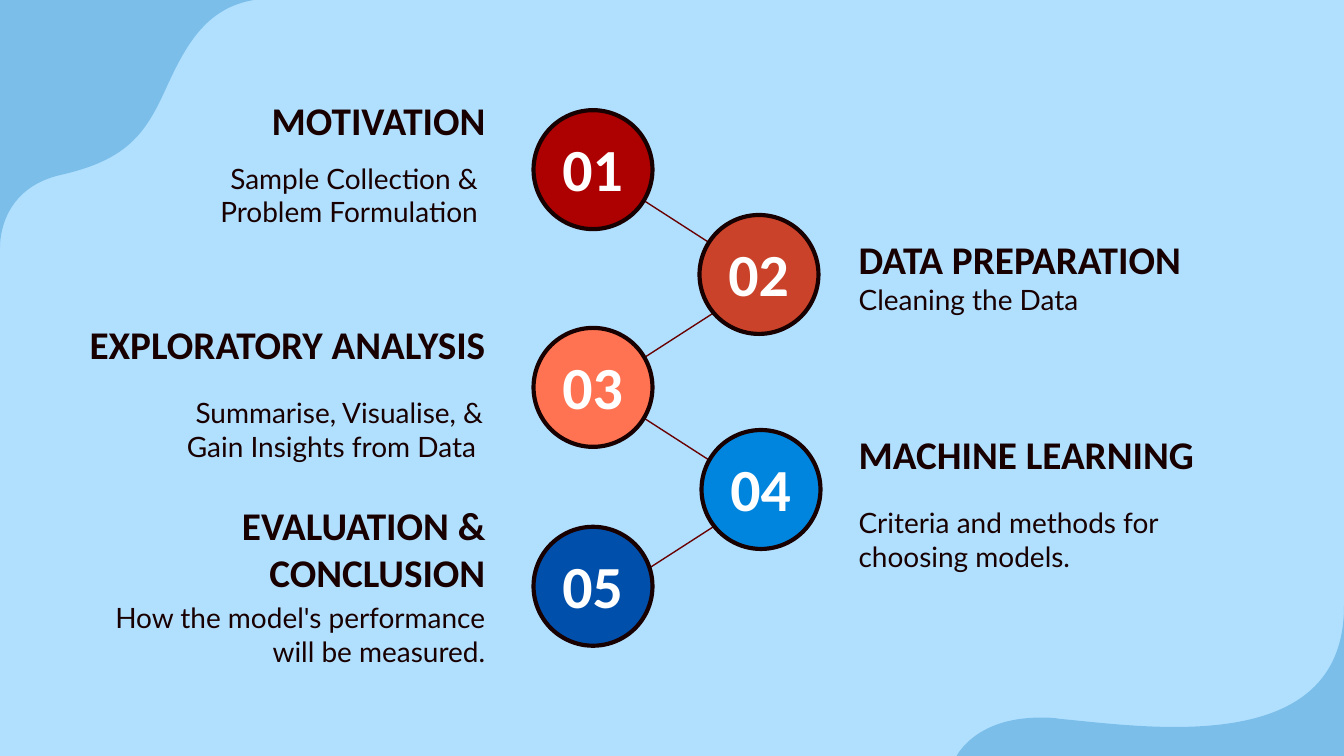
from dataclasses import dataclass
from typing import NamedTuple

from lxml.etree import SubElement
from pptx import Presentation
from pptx.dml.color import RGBColor
from pptx.enum.shapes import MSO_CONNECTOR as Connector, MSO_SHAPE as Preset
from pptx.enum.text import MSO_ANCHOR as Anchor, PP_ALIGN as Align
from pptx.oxml.ns import qn
from pptx.util import Emu, Inches, Pt

SLIDE_W, SLIDE_H = Inches(10), Inches(5.625)
UNIT = SLIDE_W / 100

SKY = RGBColor(0xB1, 0xE0, 0xFF)
WAVE = RGBColor(0x7C, 0xBE, 0xEA)
INK = RGBColor(0x18, 0x00, 0x00)
MAROON = RGBColor(0x69, 0x01, 0x00)
WHITE = RGBColor(0xFF, 0xFF, 0xFF)
RED = RGBColor(0xAD, 0x01, 0x01)
BRICK = RGBColor(0xCA, 0x42, 0x29)
CORAL = RGBColor(0xFF, 0x73, 0x52)
AZURE = RGBColor(0x00, 0x85, 0xDE)
NAVY = RGBColor(0x00, 0x4F, 0xAB)

CIRCLE = 8.85
LINK_LEFT, LINK_RUN, LINK_RISE = 44.3, 12.5, 8.05


class Box(NamedTuple):
    left: float
    top: float
    width: float
    height: float


class TextStyle(NamedTuple):
    font: str
    size: int
    bold: bool
    color: RGBColor
    inset_top: float = 1


NUMBER = TextStyle("Calibri", 32, True, WHITE, 0.8)
HEADING = TextStyle("Calibri", 21, True, INK)
BODY = TextStyle("Lato", 15, False, INK)


@dataclass(frozen=True)
class Stage:
    color: RGBColor
    left: float
    top: float
    align: Align
    heading: str
    heading_box: Box
    body: str
    body_box: Box


@dataclass(frozen=True)
class Link:
    left: float
    top: float
    falls: bool


STAGES = [
    Stage(RED, 39.7, 8.2, Align.RIGHT,
          "MOTIVATION", Box(6, 6.9, 31.1, 4.1),
          "Sample Collection & Problem Formulation", Box(8.45, 10.7, 28.1, 7.6)),
    Stage(BRICK, 52.05, 16, Align.LEFT,
          "DATA PREPARATION", Box(62.9, 17.2, 33.2, 4.1),
          "Cleaning the Data", Box(62.9, 18.5, 28.1, 7.6)),
    Stage(CORAL, 39.7, 24.4, Align.RIGHT,
          "EXPLORATORY ANALYSIS", Box(3.9, 23.5, 33.2, 4.1),
          "Summarise, Visualise, & Gain Insights from Data ", Box(8.85, 28.15, 28.1, 7.6)),
    Stage(AZURE, 52.2, 32, Align.LEFT,
          "MACHINE LEARNING", Box(62.9, 31.7, 31.1, 4.1),
          "Criteria and methods for choosing models.", Box(62.9, 36.35, 28.1, 7.6)),
    Stage(NAVY, 39.7, 39.2, Align.RIGHT,
          "EVALUATION & CONCLUSION", Box(6, 38.75, 31.1, 4.1),
          "How the model's performance will be measured.", Box(6, 43.4, 31.1, 7.6)),
]

LINKS = [
    Link(LINK_LEFT, 12.6, True),
    Link(LINK_LEFT, 20.9, False),
    Link(LINK_LEFT + 0.8, 29.3, True),
    Link(LINK_LEFT, 36.8, False),
]

TOP_WAVE = [
    [(0, 0)],
    [(0, 18.4)],
    [(0, 17.2), (0.5, 13.9), (4.6, 13)],
    [(9.4, 11.9), (10.8, 10), (12.3, 6.7)],
    [(13.8, 3.4), (15.3, 0.6), (18.9, 0)],
]
BOTTOM_WAVE = [
    [(100, 45.1)],
    [(100, 52.6), (93.6, 54.1), (87.4, 54.1)],
    [(84.2, 54.1), (81.1, 53.7), (78.9, 53.5)],
    [(78.4, 53.4), (77.9, 53.4), (77.4, 53.4)],
    [(72.4, 53.4), (71.1, 56.4), (71.1, 56.4)],
    [(100, 56.4)],
]


def grid(units: float) -> Emu:
    return Emu(round(units * UNIT))


def place(lengths: tuple) -> list[Emu]:
    return [grid(length) for length in lengths]


def draw_wave(shapes, segments: list[list[tuple]]) -> None:
    knots = [place(segment[-1]) for segment in segments]
    builder = shapes.build_freeform(*knots[0])
    builder.add_line_segments(knots[1:], close=True)
    wave = builder.convert_to_shape()
    edges = list(wave._element.iter(qn("a:lnTo")))
    for edge, controls in zip(edges, segments[1:]):
        if len(controls) == 3:
            edge.clear()
            curve = SubElement(edge.getparent(), qn("a:cubicBezTo"))
            edge.getparent().replace(edge, curve)
            for x, y in map(place, controls):
                SubElement(curve, qn("a:pt"), x=str(x - wave.left), y=str(y - wave.top))
    wave.shadow.inherit = False
    wave.fill.solid()
    wave.fill.fore_color.rgb = WAVE
    wave.line.fill.background()


def draw_link(shapes, link: Link) -> None:
    low, high = link.top + LINK_RISE, link.top
    start, end = (high, low) if link.falls else (low, high)
    line = shapes.add_connector(Connector.STRAIGHT, grid(link.left), grid(start),
                                grid(link.left + LINK_RUN), grid(end))
    line.line.color.rgb = MAROON
    line.line.width = Pt(0.75)
    SubElement(line._element.spPr, qn("a:effectLst"))


def draw_circle(shapes, stage: Stage) -> None:
    circle = shapes.add_shape(Preset.OVAL, *place((stage.left, stage.top, CIRCLE, CIRCLE)))
    circle.shadow.inherit = False
    circle.fill.solid()
    circle.fill.fore_color.rgb = stage.color
    circle.line.color.rgb = INK
    circle.line.width = Pt(2.25)


def draw_text(shapes, box: Box, text: str, style: TextStyle, align: Align) -> None:
    frame = shapes.add_textbox(*place(box)).text_frame
    frame.word_wrap = True
    frame.vertical_anchor = Anchor.MIDDLE
    frame.margin_left = frame.margin_right = frame.margin_bottom = grid(1)
    frame.margin_top = grid(style.inset_top)
    paragraph = frame.paragraphs[0]
    paragraph.alignment = align
    run = paragraph.add_run()
    run.text = text
    run.font.name = style.font
    run.font.size = Pt(style.size)
    run.font.bold = style.bold
    run.font.color.rgb = style.color


def main() -> None:
    deck = Presentation()
    deck.slide_width, deck.slide_height = SLIDE_W, SLIDE_H
    slide = deck.slides.add_slide(deck.slide_layouts.get_by_name("Blank"))
    slide.background.fill.solid()
    slide.background.fill.fore_color.rgb = SKY
    shapes = slide.shapes
    for wave in (TOP_WAVE, BOTTOM_WAVE):
        draw_wave(shapes, wave)
    for link in LINKS:
        draw_link(shapes, link)
    for stage in STAGES:
        draw_circle(shapes, stage)
    for number, stage in enumerate(STAGES, start=1):
        number_box = Box(stage.left + 0.2, stage.top + 1.5, 8.4, 5.8)
        draw_text(shapes, number_box, f"{number:02}", NUMBER, Align.CENTER)
        draw_text(shapes, stage.heading_box, stage.heading, HEADING, stage.align)
        draw_text(shapes, stage.body_box, stage.body, BODY, stage.align)
    deck.save("out.pptx")


if __name__ == "__main__":
    main()
